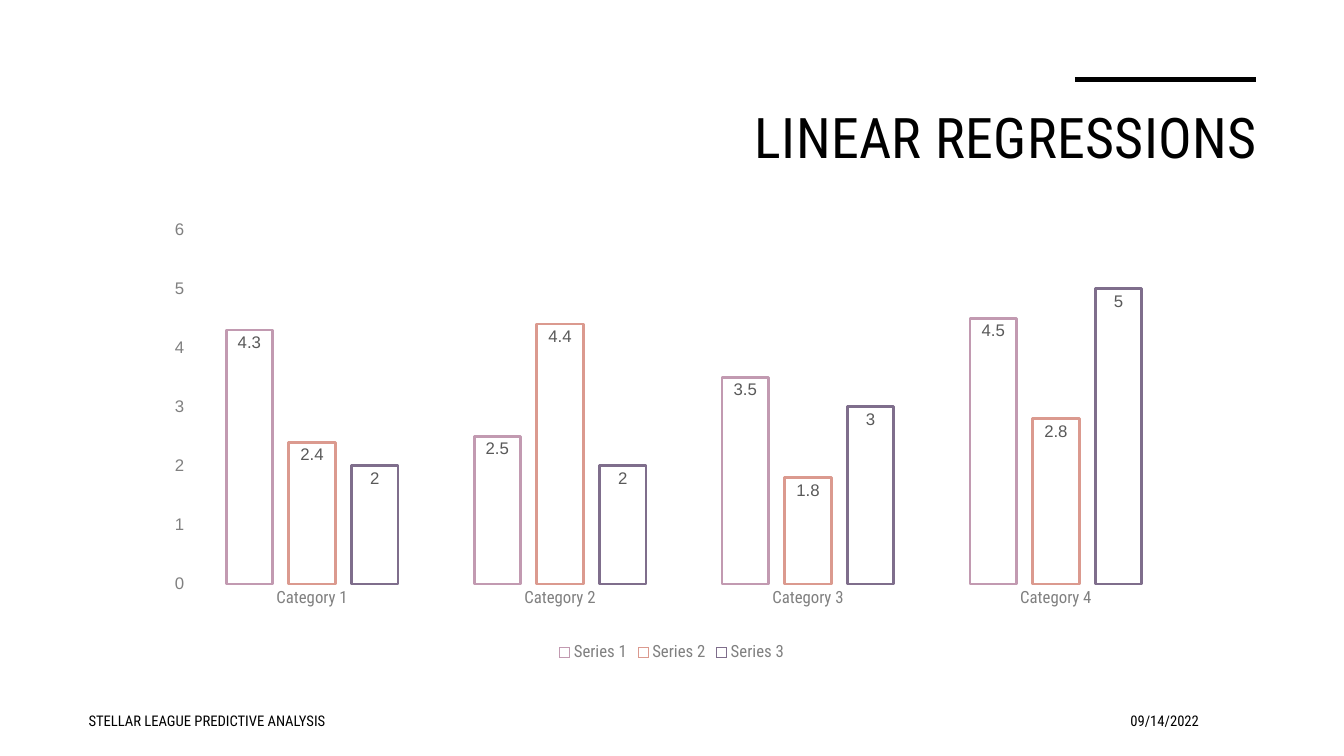
from typing import NamedTuple

from lxml import etree
from pptx import Presentation
from pptx import util as u
from pptx.chart.data import CategoryChartData
from pptx.dml.color import RGBColor
from pptx.enum import chart as charts, shapes, text
from pptx.oxml import parse_xml
from pptx.oxml.ns import nsdecls, qn

COLORS = {
    "black": "000000", "axis": "808080", "label": "595959",
    "mauve": "C29AB1", "coral": "DB9A8F", "violet": "7F6E8C",
}
HEADING_FONT, NUMBER_FONT = "Roboto Condensed", "Arial"


class Series(NamedTuple):
    name: str
    values: tuple[float, ...]
    color: str


class Label(NamedTuple):
    words: str
    area: tuple[float, float, float, float]
    style: dict


CATEGORIES = [f"Category {number}" for number in range(1, 5)]
SERIES = [
    Series("Series 1", (4.3, 2.5, 3.5, 4.5), "mauve"),
    Series("Series 2", (2.4, 4.4, 1.8, 2.8), "coral"),
    Series("Series 3", (2, 2, 3, 5), "violet"),
]
PLOT_AREA = {"x": 0.039, "y": 0.022, "w": 0.945, "h": 0.794}
FOOTER = {"size": 10.5, "anchor": text.MSO_ANCHOR.MIDDLE}
LABELS = [
    Label("LINEAR REGRESSIONS", (0.76, 0.97, 11.81, 1.15),
          {"size": 40, "align": text.PP_ALIGN.RIGHT, "spacing": 0.3}),
    Label("STELLAR LEAGUE PREDICTIVE ANALYSIS", (0.78, 6.95, 4.96, 0.4), FOOTER),
    Label("09/14/2022", (9.15, 6.95, 2.84, 0.4),
          {**FOOTER, "align": text.PP_ALIGN.RIGHT}),
]


def rgb(name: str) -> RGBColor:
    return RGBColor.from_string(COLORS[name])


def set_font(font, size: float, color: str, face: str) -> None:
    font.size = u.Pt(size)
    font.bold = False
    font.name = face
    font.color.rgb = rgb(color)


def add_text(page, words: str, area: tuple, *, size: float, color: str = "black",
             face: str = HEADING_FONT, align=text.PP_ALIGN.LEFT,
             anchor=text.MSO_ANCHOR.TOP, spacing: float = 0) -> None:
    box = page.shapes.add_textbox(*map(u.Inches, area))
    frame = box.text_frame
    frame.word_wrap = True
    frame.vertical_anchor = anchor
    para = frame.paragraphs[0]
    para.alignment = align
    span = para.add_run()
    span.text = words
    set_font(span.font, size, color, face)
    if spacing:
        span.font._element.set("spc", str(round(spacing * 100)))


def add_rule(page) -> None:
    rule = page.shapes.add_connector(
        shapes.MSO_CONNECTOR.STRAIGHT,
        *map(u.Inches, (10.66, 0.79, 12.46, 0.79)))
    rule.line.color.rgb = rgb("black")
    rule.line.width = u.Pt(3.5)
    etree.SubElement(rule._element.spPr, qn("a:effectLst"))


def style_axis(axis, face: str) -> None:
    axis.has_major_gridlines = False
    axis.major_tick_mark = axis.minor_tick_mark = charts.XL_TICK_MARK.NONE
    axis.format.line.fill.background()
    set_font(axis.tick_labels.font, 12, "axis", face)


def style_series(bars, color: str) -> None:
    bars.invert_if_negative = False
    bars.format.fill.background()
    bars.format.line.color.rgb = rgb(color)
    bars.format.line.width = u.Pt(2)
    labels = bars.data_labels
    labels.show_value = True
    labels.position = charts.XL_LABEL_POSITION.INSIDE_END
    set_font(labels.font, 12, "label", NUMBER_FONT)


def place_plot(chart) -> None:
    plot_area = chart._chartSpace.chart.plotArea
    for layout in plot_area.findall(qn("c:layout")):
        plot_area.remove(layout)
    modes = '<c:xMode val="edge"/><c:yMode val="edge"/>'
    sizes = "".join(f'<c:{key} val="{value}"/>' for key, value in PLOT_AREA.items())
    plot_area.insert(0, parse_xml(
        f'<c:layout {nsdecls("c")}><c:manualLayout><c:layoutTarget val="inner"/>'
        f"{modes}{sizes}</c:manualLayout></c:layout>"))


def add_bar_chart(page) -> None:
    data = CategoryChartData()
    data.categories = CATEGORIES
    for series in SERIES:
        data.add_series(series.name, series.values)
    chart = page.shapes.add_chart(
        charts.XL_CHART_TYPE.COLUMN_CLUSTERED,
        *map(u.Inches, (1.46, 2.18, 10.41, 4.43)), data).chart
    set_font(chart.font, 10, "black", NUMBER_FONT)
    chart.has_title = False

    # Bars
    plot = chart.plots[0]
    plot.gap_width, plot.overlap = 164, -35
    plot.vary_by_categories = False
    for bars, series in zip(plot.series, SERIES):
        style_series(bars, series.color)

    # Axes
    style_axis(chart.category_axis, HEADING_FONT)
    style_axis(chart.value_axis, NUMBER_FONT)
    chart.value_axis.minimum_scale = 0
    chart.value_axis.maximum_scale = 6
    chart.value_axis.major_unit = 1

    # Legend
    chart.has_legend = True
    chart.legend.position = charts.XL_LEGEND_POSITION.BOTTOM
    chart.legend.include_in_layout = False
    set_font(chart.legend.font, 12, "axis", HEADING_FONT)
    place_plot(chart)


def main() -> None:
    deck = Presentation()
    deck.slide_width, deck.slide_height = u.Inches(13.33), u.Inches(7.5)
    page = deck.slides.add_slide(deck.slide_layouts[6])
    add_rule(page)
    add_bar_chart(page)
    # Title and footer
    for label in LABELS:
        add_text(page, label.words, label.area, **label.style)
    deck.save("out.pptx")


if __name__ == "__main__":
    main()
